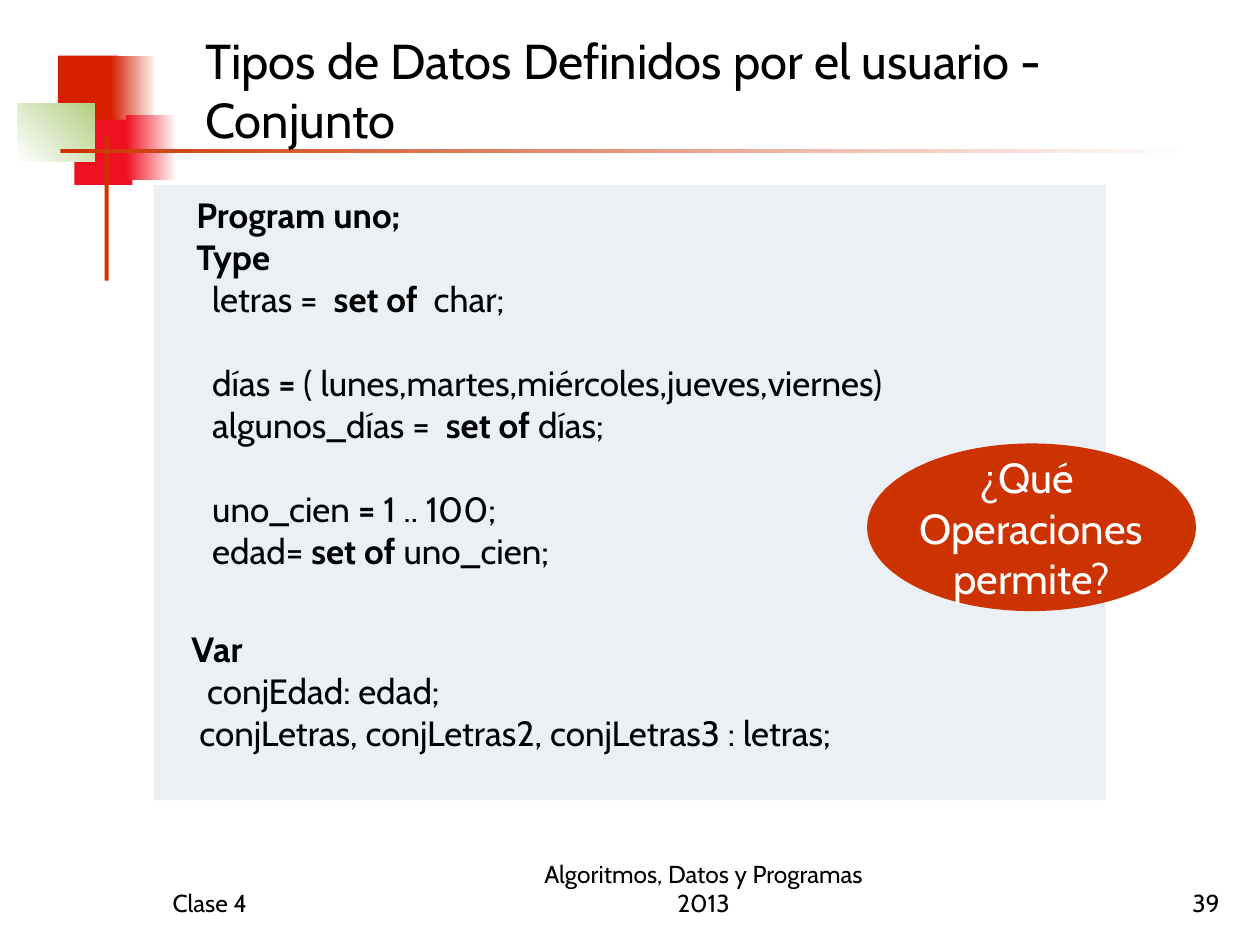
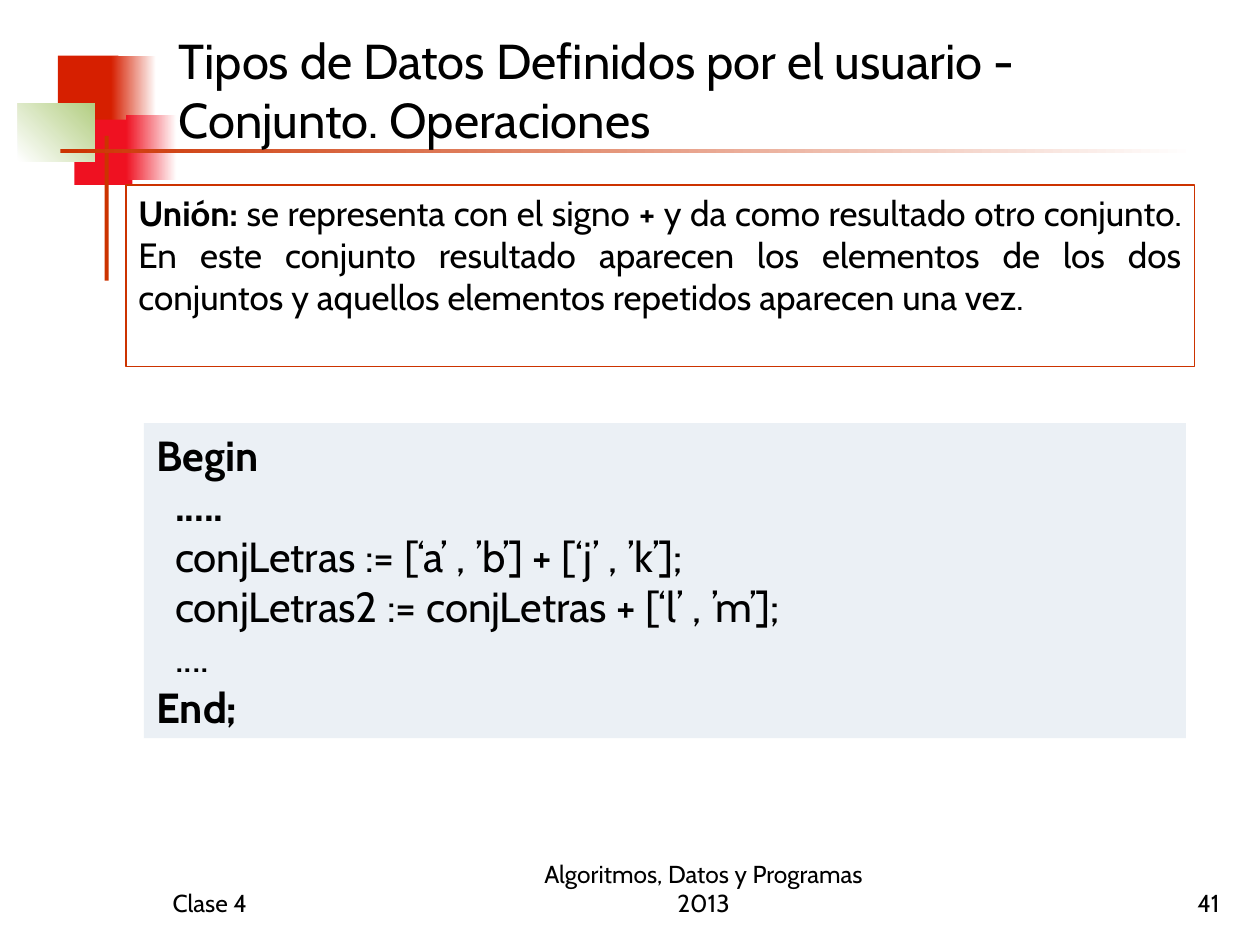
from pptx import Presentation
from pptx.dml.color import RGBColor
from pptx.enum import shapes, text
from pptx.util import Cm, Pt

FONT = "Cabin"
BLACK = RGBColor(0x00, 0x00, 0x00)
WHITE = RGBColor(0xFF, 0xFF, 0xFF)
RED = RGBColor(0xD6, 0x1F, 0x00)
CRIMSON = RGBColor(0xEF, 0x11, 0x21)
GREEN = RGBColor(0xB3, 0xCE, 0x82)
RUST = RGBColor(0xCC, 0x33, 0x00)
PANEL = RGBColor(0xEB, 0xF0, 0xF5)

RECTANGLE = shapes.MSO_SHAPE.RECTANGLE
OVAL = shapes.MSO_SHAPE.OVAL
LEFT, CENTER, RIGHT, JUSTIFY = (
    text.PP_ALIGN.LEFT, text.PP_ALIGN.CENTER, text.PP_ALIGN.RIGHT, text.PP_ALIGN.JUSTIFY)
TOP, MIDDLE, BOTTOM = (
    text.MSO_ANCHOR.TOP, text.MSO_ANCHOR.MIDDLE, text.MSO_ANCHOR.BOTTOM)

# Left, top, width, height in cm; fill colours; gradient angle
ORNAMENTS = [
    ((1.17, 1.12, 1.22, 1.32), (RED,), 0),
    ((2.24, 1.12, 0.91, 1.32), (RED, WHITE), 0),
    ((1.50, 2.41, 1.17, 1.32), (CRIMSON,), 0),
    ((2.54, 2.31, 1.02, 1.32), (CRIMSON, WHITE), 0),
    ((0.36, 2.08, 1.55, 1.17), (WHITE, GREEN), 45),
    ((2.11, 2.74, 0.08, 2.92), (RUST,), 0),
    ((1.22, 3.00, 22.86, 0.08), (RUST, WHITE), 0),
]

FOOTER_TOP, FOOTER_HEIGHT = 17.35, 1.27

TYPE_CODE = [
    "*Program uno;*",
    "*Type*",
    "  letras =  *set of*  char;",
    "",
    "  días* = *( lunes,martes,miércoles,jueves,viernes)",
    "  algunos_días =  *set of* días;",
    "",
    "  uno_cien *=* 1 .. 100;",
    "  edad= *set of *uno_cien;",
]
VAR_CODE = [
    "*Var*",
    "  conjEdad: edad;",
    " conjLetras, conjLetras2, conjLetras3 : letras;",
]
UNION_DEFINITION = [
    "*Unión: *se representa con el signo *+* y da como resultado otro conjunto. "
    "En este conjunto resultado aparecen los elementos de los dos conjuntos y "
    "aquellos elementos repetidos aparecen una vez."
]
UNION_CODE = [
    "*Begin*",
    "*  .....*",
    "  conjLetras := [‘a’ , ’b’] + [‘j’ , ’k’];",
    "  conjLetras2 := conjLetras + [‘l’ , ’m’];",
    "  ....",
    "*End;*",
]


def write(box, lines, size=20, color=BLACK, align=LEFT, anchor=TOP, wrap=True):
    """Write lines; asterisks switch bold, an empty line widens the next gap."""
    frame = box.text_frame
    frame.word_wrap = wrap
    frame.auto_size = text.MSO_AUTO_SIZE.NONE
    frame.vertical_anchor = anchor
    para, gap = frame.paragraphs[0], 0
    for index, line in enumerate(lines):
        if not line:
            gap += 1.2 * size
            continue
        if index:
            para = frame.add_paragraph()
        para.alignment = align
        para.space_before = Pt(gap)
        gap = 0
        for part, words in enumerate(line.split("*")):
            if words:
                span = para.add_run()
                span.text = words
                span.font.name = FONT
                span.font.size = Pt(size)
                span.font.bold = part % 2 == 1
                span.font.color.rgb = color


def add_text(slide, place, lines, **style):
    box = slide.shapes.add_textbox(*map(Cm, place))
    write(box, lines, **style)


def add_block(slide, place, colors=(), angle=0, kind=RECTANGLE, line=None):
    """Add a shape with no fill, one colour or a gradient of two."""
    block = slide.shapes.add_shape(kind, *map(Cm, place))
    block.shadow.inherit = False
    if len(colors) == 2:
        block.fill.gradient()
        block.fill.gradient_angle = angle
        for stop, color in zip(block.fill.gradient_stops, colors):
            stop.color.rgb = color
    elif colors:
        block.fill.solid()
        block.fill.fore_color.rgb = colors[0]
    else:
        block.fill.background()
    if line is None:
        block.line.fill.background()
    else:
        block.line.color.rgb = line
        block.line.width = Pt(0.75)
    return block


def decorate_layout(layout, slide):
    """Draw the ornaments on a slide and move them to its layout."""
    for place, colors, angle in ORNAMENTS:
        block = add_block(slide, place, colors, angle)
        layout.shapes.element.append(block.element)


def add_title(slide, words, left):
    title = slide.shapes.title
    title.left, title.top, title.width, title.height = map(Cm, (left, 0.64, 20.52, 2.34))
    write(title, [words], size=28, anchor=MIDDLE)


def add_footers(slide, number):
    footers = [
        (3.23, 5.28, "Clase 4", LEFT),
        (10.16, 8.05, "Algoritmos, Datos y Programas 2013", CENTER),
        (19.56, 5.28, number, RIGHT),
    ]
    for left, width, words, align in footers:
        add_text(slide, (left, FOOTER_TOP, width, FOOTER_HEIGHT), [words],
                 size=14, align=align, anchor=BOTTOM)


def fill_set_types(slide):
    add_title(slide, "Tipos de Datos Definidos por el usuario - Conjunto", 3.89)
    add_block(slide, (3.10, 3.73, 19.20, 12.40), (PANEL,))
    add_text(slide, (3.71, 3.78, 20.14, 7.87), TYPE_CODE)
    add_text(slide, (3.61, 12.52, 15.16, 2.79), VAR_CODE, wrap=False)
    question = add_block(slide, (17.48, 8.94, 6.63, 3.38), (RUST,), kind=OVAL)
    write(question, ["¿Qué ", "Operaciones", "permite?"], size=24, color=WHITE,
          align=CENTER, anchor=MIDDLE, wrap=False)
    add_footers(slide, "39")


def fill_union(slide):
    add_title(slide, "Tipos de Datos Definidos por el usuario - Conjunto. Operaciones", 3.35)
    definition = add_block(slide, (2.54, 3.73, 21.54, 3.66), line=RUST)
    write(definition, UNION_DEFINITION, align=JUSTIFY)
    code = add_block(slide, (2.90, 8.53, 21.01, 6.35), (PANEL,))
    write(code, UNION_CODE, size=24)
    add_footers(slide, "41")


def main():
    deck = Presentation()
    deck.slide_width, deck.slide_height = Cm(25.4), Cm(19.05)
    layout = deck.slide_layouts.get_by_name("Title Only")
    types_slide, union_slide = (deck.slides.add_slide(layout) for _ in range(2))
    decorate_layout(layout, types_slide)
    fill_set_types(types_slide)
    fill_union(union_slide)
    deck.save("out.pptx")


if __name__ == "__main__":
    main()
